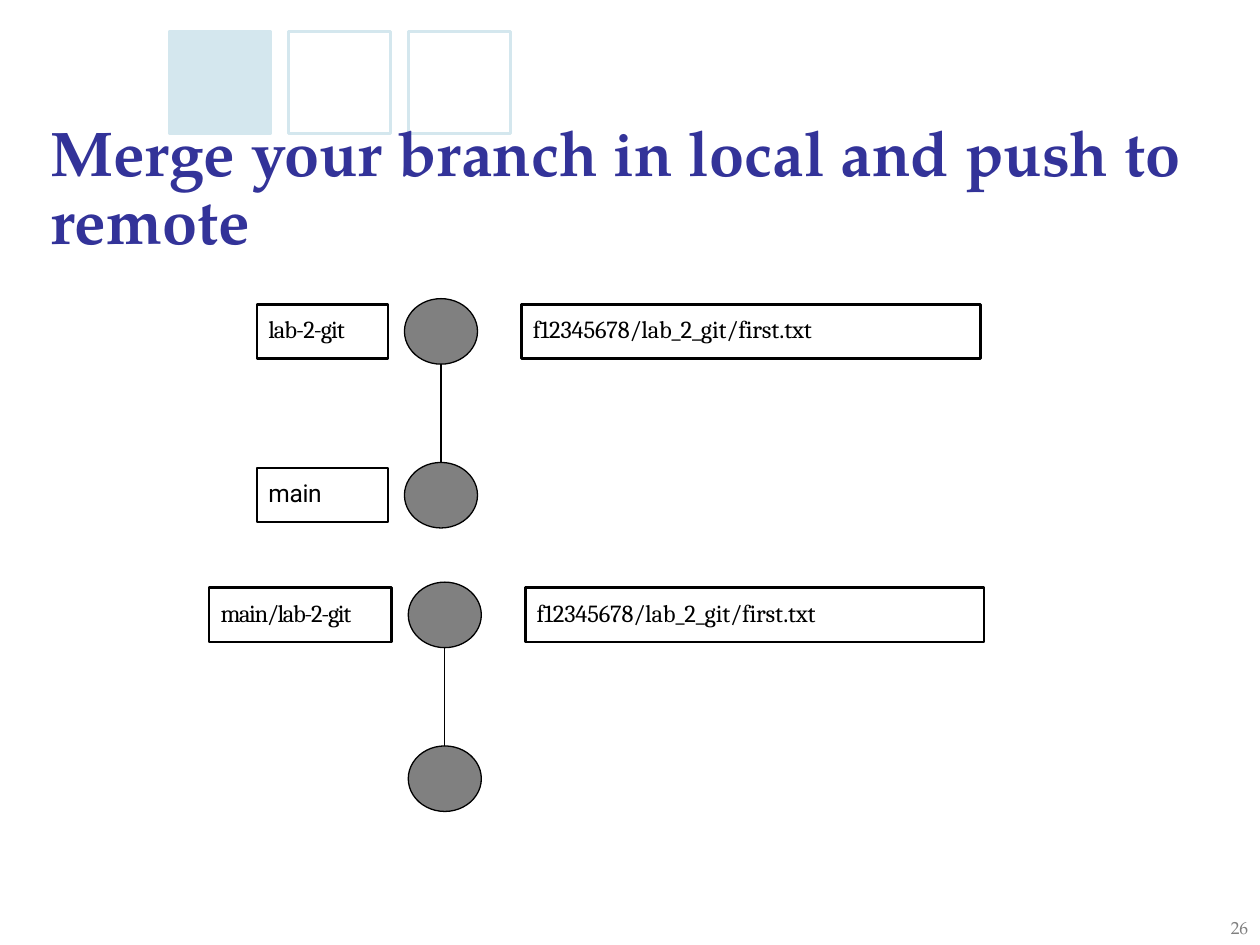
"""Build a slide showing a branch merged locally and pushed to the remote."""
from dataclasses import dataclass

import pptx
import pptx.dml.color
import pptx.enum.shapes
import pptx.enum.text
import pptx.oxml
import pptx.util

COLORS = {"title": "333399", "accent": "D4E7EE", "node": "808080", "ink": "000000"}
SERIF = "TeX Gyre Pagella"
COLS, ROWS = 100, 75
CELL = pptx.util.Inches(10) // COLS
NODE_W, NODE_H, STEP = 5.8, 5.2, 13
BOX_H, LABEL_GAP, FILE_GAP, FILE_W = 4.3, 1.3, 9.3, 36.4
SHAPE = pptx.enum.shapes.MSO_SHAPE


@dataclass(frozen=True)
class Label:
    text: str
    width: float
    spacing: float
    font: str = "Cambria"


@dataclass(frozen=True)
class History:
    col: float
    row: float
    labels: tuple[Label, ...]
    file: str


HISTORIES = (
    History(32.1, 23.7, (Label("lab-2-git", 10.4, -0.6),
                         Label("main", 10.4, -0.2, "Roboto")),
            "f12345678/lab_2_git/first.txt"),
    History(32.4, 46.2, (Label("main/lab-2-git", 14.5, -0.8),),
            "f12345678/lab_2_git/first.txt"),
)


def grid(*cells: float) -> list[int]:
    return [pptx.util.Emu(round(c * CELL)) for c in cells]


def color(name: str) -> pptx.dml.color.RGBColor:
    return pptx.dml.color.RGBColor.from_string(COLORS[name])


def add_shape(s, kind, box: tuple, fill: str | None, line: str, width: float):
    sp = s.shapes.add_shape(kind, *grid(*box))
    sp.shadow.inherit = False
    if fill:
        sp.fill.solid()
        sp.fill.fore_color.rgb = color(fill)
    else:
        sp.fill.background()
    sp.line.color.rgb = color(line)
    sp.line.width = pptx.util.Pt(width)
    return sp


def set_text(sp, text: str, font: str, size: float, ink: str, top: float = 0,
             indent: float = 0, before: float = 0, spacing: float = 0):
    tf = sp.text_frame
    tf.text = text
    tf.word_wrap = True
    tf.auto_size = pptx.enum.text.MSO_AUTO_SIZE.NONE
    tf.vertical_anchor = pptx.enum.text.MSO_ANCHOR.TOP
    tf.margin_left, tf.margin_top, tf.margin_right, tf.margin_bottom = grid(
        indent, top, 0, 0)
    p = tf.paragraphs[0]
    p.alignment = pptx.enum.text.PP_ALIGN.LEFT
    p.space_before = pptx.util.Pt(before)
    r = p.runs[0]
    r.font.name = font
    r.font.size = pptx.util.Pt(size)
    r.font.color.rgb = color(ink)
    if spacing:
        r.font._element.set("spc", str(round(spacing * 100)))
    return p


def add_box(s, col: float, row: float, label: Label) -> None:
    sp = add_shape(s, SHAPE.RECTANGLE, (col, row, label.width, BOX_H),
                   None, "ink", 1.5)
    set_text(sp, label.text, label.font, 14, "ink", top=0.8, indent=0.9,
             before=5.5, spacing=label.spacing)


def add_link(s, col: float, top: float, bottom: float) -> None:
    cxn = s.shapes.add_connector(pptx.enum.shapes.MSO_CONNECTOR.STRAIGHT,
                                 *grid(col, bottom, col, top))
    cxn.line.color.rgb = color("ink")
    cxn.line.width = pptx.util.Pt(0.75)
    cxn.element.spPr.append(pptx.oxml.parse_xml(
        '<a:effectLst xmlns:a="http://schemas.openxmlformats.org/drawingml/2006/main"/>'))


def add_history(s, h: History) -> None:
    for i in range(2):
        add_shape(s, SHAPE.OVAL, (h.col, h.row + i * STEP, NODE_W, NODE_H),
                  "node", "ink", 0.75)
    add_link(s, h.col + NODE_W / 2, h.row + NODE_H, h.row + STEP)
    box_row = h.row + (NODE_H - BOX_H) / 2
    for i, label in enumerate(h.labels):
        add_box(s, h.col - LABEL_GAP - label.width, box_row + i * STEP, label)
    add_box(s, h.col + FILE_GAP, box_row, Label(h.file, FILE_W, -0.1))


def add_title(s, text: str) -> None:
    sp = s.shapes.title
    sp.left, sp.top, sp.width, sp.height = grid(3.9, 8.8, 90.1, 11.7)
    p = set_text(sp, text, SERIF, 36, "title", top=0.8, indent=0.1, before=5.8)
    p.line_spacing = pptx.util.Pt(38.9)
    p.runs[0].font.bold = True
    sp.element.getparent().append(sp.element)


def main() -> None:
    prs = pptx.Presentation()
    prs.slide_width, prs.slide_height = grid(COLS, ROWS)
    s = prs.slides.add_slide(prs.slide_layouts[5])
    for i, fill in enumerate(("accent", None, None)):
        add_shape(s, SHAPE.RECTANGLE, (13.4 + i * 9.5, 2.5, 8.1, 8.1),
                  fill, "accent", 1.5)
    add_title(s, "Merge your branch in local and push to remote")
    for h in HISTORIES:
        add_history(s, h)
    number = s.shapes.add_textbox(*grid(97.3, 72.8, 2.4, 2))
    set_text(number, "26", SERIF, 10, "node", indent=0.4, spacing=-0.2)
    prs.save("out.pptx")


if __name__ == "__main__":
    main()
